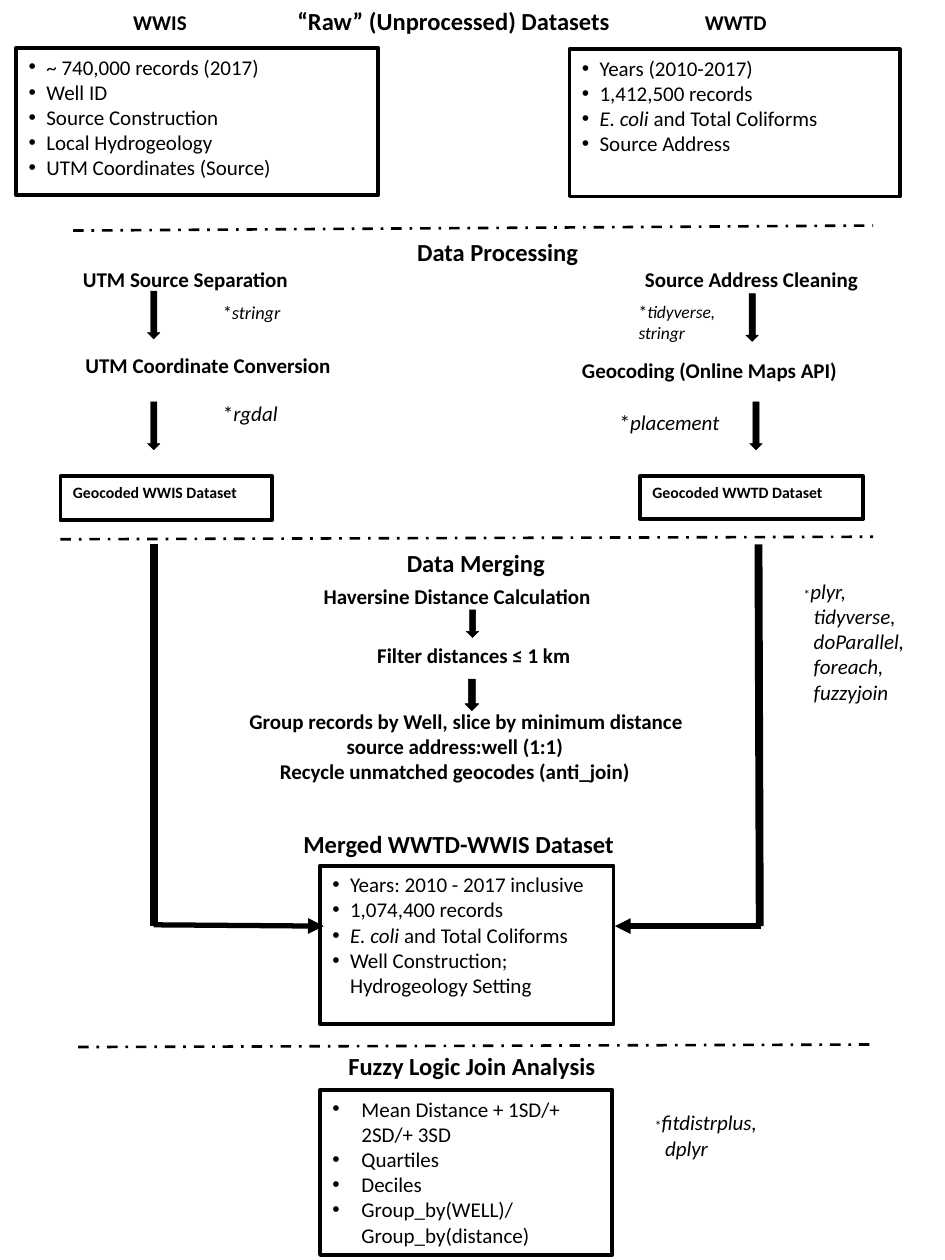
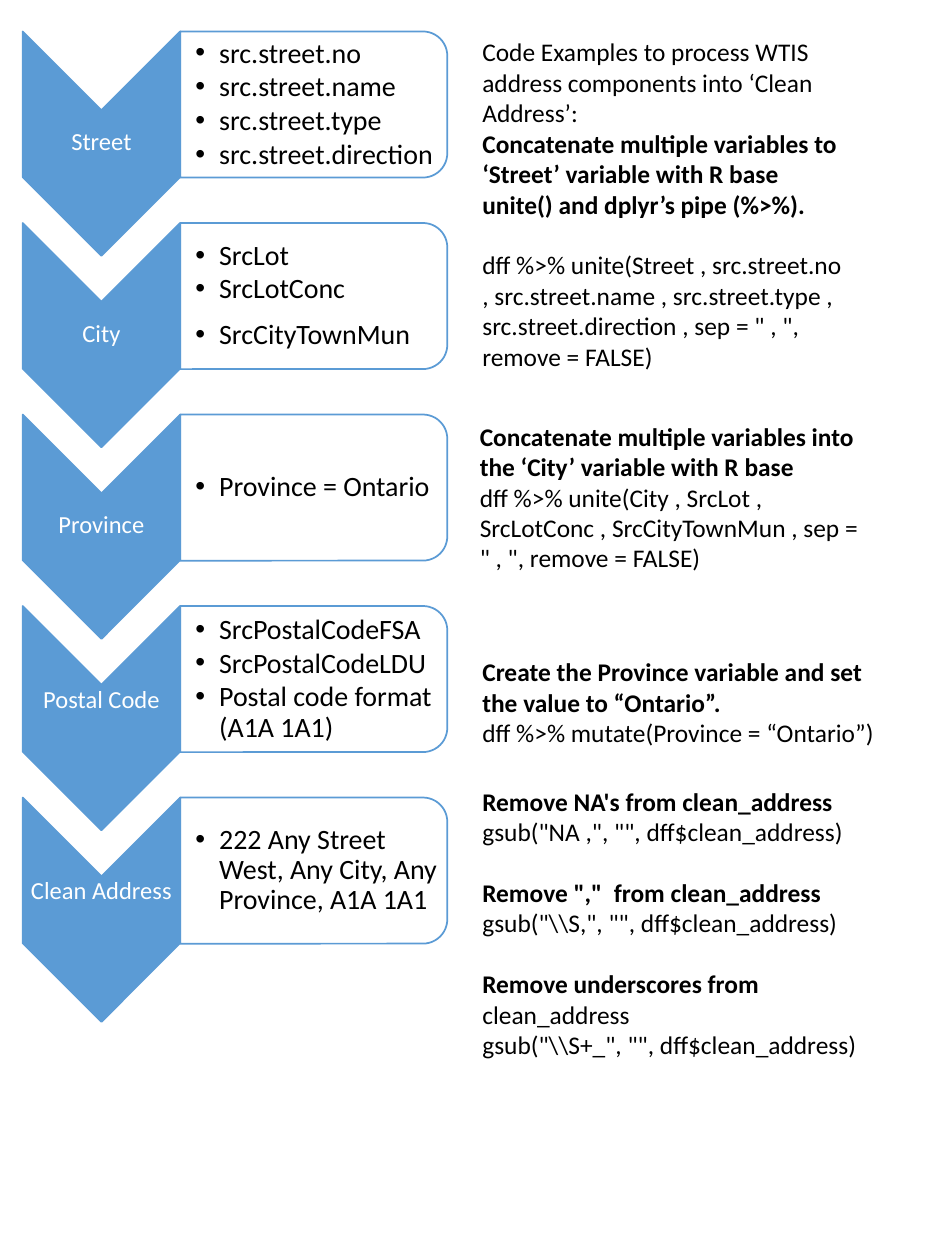
from lxml import etree
from pptx import Presentation
from pptx.dml.color import RGBColor
from pptx.enum.dml import MSO_LINE
from pptx.enum.shapes import MSO_CONNECTOR, MSO_SHAPE
from pptx.enum.text import MSO_ANCHOR, PP_ALIGN
from pptx.oxml.ns import qn
from pptx.util import Inches, Pt

BLACK = RGBColor(0, 0, 0)
WHITE = RGBColor(255, 255, 255)
BLUE = RGBColor(0x5B, 0x9B, 0xD5)
FONT, BULLET_FONT = "Calibri", "Arial"
LEFT, CENTER = PP_ALIGN.LEFT, PP_ALIGN.CENTER
TOP, MIDDLE = MSO_ANCHOR.TOP, MSO_ANCHOR.MIDDLE
RECT, DOWN_ARROW = MSO_SHAPE.RECTANGLE, MSO_SHAPE.DOWN_ARROW
CHEVRON, ROUND_TOP = MSO_SHAPE.CHEVRON, MSO_SHAPE.ROUND_2_SAME_RECTANGLE
STRAIGHT, DASH_DOT = MSO_CONNECTOR.STRAIGHT, MSO_LINE.DASH_DOT
INSETS = (0.1, 0.05, 0.1, 0.05)


def para(*runs, before=0, indent=0):
    """A paragraph: runs are strings or (text, style, size) tuples."""
    return runs, before, indent


# ---- Slide 1 content: workflow ----
# (text, left, top, width, size, alignment)
HEADINGS = [
    ("WWIS", 0.77, 0.03, 1.0, 12, CENTER),
    ("“Raw” (Unprocessed) Datasets", 2.1, 0, 3.0, 14, CENTER),
    ("WWTD", 5.34, 0.03, 1.0, 12, CENTER),
    ("Data Processing", 2.9, 1.83, 2.1, 14, CENTER),
    ("UTM Source Separation", 0.56, 2.07, 2.2, 12, LEFT),
    ("Source Address Cleaning", 5.02, 2.07, 2.2, 12, LEFT),
    ("UTM Coordinate Conversion", 0.58, 2.75, 2.24, 12, LEFT),
    ("Geocoding (Online Maps API)", 4.52, 2.79, 2.62, 12, LEFT),
    ("Data Merging", 3.13, 4.3, 1.51, 14, LEFT),
    ("Haversine Distance Calculation", 2.47, 4.58, 2.47, 12, LEFT),
    ("Filter distances ≤ 1 km", 2.02, 5.05, 3.48, 12, CENTER),
    ("Merged WWTD-WWIS Dataset", 2.14, 6.53, 3.0, 14, CENTER),
    ("Fuzzy Logic Join Analysis", 2.42, 8.29, 2.65, 14, CENTER),
]
GROUPING = [para("Group records by Well, slice by minimum distance",
                 indent=0.18),
            para("source address:well (1:1)"),
            para("Recycle unmatched geocodes (anti_join)")]
COLIFORMS = para(("E. coli", "i"), " and Total Coliforms")
# (box, bullet indent, items)
DATASETS = [
    ((0.13, 0.38, 2.87, 1.17), 0.14, [
        para("~ 740,000 records (2017)"), para("Well ID"),
        para("Source Construction"), para("Local Hydrogeology"),
        para("UTM Coordinates (Source)")]),
    ((4.52, 0.39, 2.62, 1.17), 0.14, [
        para("Years (2010-2017)"), para("1,412,500 records"), COLIFORMS,
        para("Source Address")]),
    ((2.54, 6.87, 2.33, 1.26), 0.14, [
        para("Years: 2010 - 2017 inclusive"), para("1,074,400 records"),
        COLIFORMS, para("Well Construction; Hydrogeology Setting")]),
    ((2.54, 8.65, 2.32, 1.31), 0.23, [
        para("Mean Distance + 1SD/+ 2SD/+ 3SD"), para("Quartiles"),
        para("Deciles"), para("Group_by(WELL)/Group_by(distance)")]),
]
GEOCODED = [("Geocoded WWIS Dataset", (0.48, 3.78, 1.68, 0.35)),
            ("Geocoded WWTD Dataset", (5.08, 3.78, 1.77, 0.34))]
# R packages: (names by line, box, size, size of the star)
PACKAGES = [
    (["stringr"], (1.67, 2.34, 0.75, 0.28), 10.5, 10.5),
    (["rgdal"], (1.67, 3.13, 0.75, 0.3), 12, 12),
    (["tidyverse, stringr"], (4.97, 2.34, 0.94, 0.44), 10, 10),
    (["placement"], (4.82, 3.2, 1.23, 0.3), 12, 12),
    (["plyr,", "tidyverse,", "doParallel,", "foreach,", "fuzzyjoin"],
     (6.28, 4.54, 1.05, 1.11), 12, 7.5),
    (["fitdistrplus,", "dplyr"], (5.1, 8.76, 1.07, 0.5), 12, 7.5),
]
STEP_ARROWS = [(1.17, 2.31, 0.1, 0.38), (1.17, 3.19, 0.1, 0.38),
               (5.92, 2.33, 0.1, 0.38), (5.95, 3.19, 0.1, 0.38),
               (3.7, 4.84, 0.1, 0.22), (3.69, 5.39, 0.11, 0.25)]
DIVIDERS = [(0.58, 1.83, 6.93, 1.79), (0.48, 4.28, 6.93, 4.26),
            (0.62, 8.31, 6.95, 8.29)]
MERGE_STEMS = [(6.02, 4.32, 6.03, 7.35), (1.22, 4.32, 1.22, 7.35)]
MERGE_ARROWS = [(6.04, 7.35, 4.88, 7.35), (1.22, 7.34, 2.57, 7.35)]

# ---- Slide 2 content: address cleaning ----
# (part, bottom inset of its label, items)
ADDRESS_PARTS = [
    ("Street", 0.01, [para("src.street.no"), para("src.street.name"),
                      para("src.street.type"), para("src.street.direction")]),
    ("City", 0.01, [para("SrcLot"), para("SrcLotConc"),
                    para("SrcCityTownMun", before=7)]),
    ("Province", 0.01, [para("Province = Ontario")]),
    ("Postal Code", 0.28, [para("SrcPostalCodeFSA"), para("SrcPostalCodeLDU"),
                           para("Postal code format (A1A 1A1)")]),
    ("Clean Address", 0.28, [
        para("222 Any Street West, Any City, Any Province, A1A 1A1")]),
]
CODE_SIZE, CODE_GAP = 14.5, 17.2
CODE_EXAMPLES = [
    ((3.73, 0.24, 3.06, 2.78), [
        para("Code Examples to process WTIS address components into "
             "‘Clean Address’:"),
        para(("Concatenate multiple variables to ‘Street’ variable with R "
              "base unite() and dplyr’s pipe (%>%).", "b")),
        para("dff %>% unite(Street , src.street.no , src.street.name , "
             "src.street.type , src.street.direction , sep = \" , \", "
             "remove = FALSE)", before=CODE_GAP)]),
    ((3.71, 3.29, 3.23, 1.32), [
        para(("Concatenate multiple variables into the ‘City’ variable "
              "with R base", "b")),
        para("dff %>% unite(City , SrcLot , SrcLotConc , SrcCityTownMun , "
             "sep = \" , \", remove = FALSE)")]),
    ((3.73, 5.16, 3.43, 0.83), [
        para(("Create the Province variable and set the value to "
              "“Ontario”.", "b")),
        para("dff %>% mutate(Province = “Ontario”)")]),
    ((3.73, 6.19, 3.43, 2.53), [
        para(("Remove NA's from clean_address", "b")),
        para('gsub("NA ,", "", dff$clean_address)'),
        para(('Remove ","  from clean_address', "b"), before=CODE_GAP),
        para(r'gsub("\\S,", "", dff$clean_address)'),
        para(("Remove underscores from ", "b"), "clean_address",
             before=CODE_GAP),
        para(r'gsub("\\S+_", "", dff$clean_address)')]),
]


# ---- Shared drawing helpers ----
def inches(box):
    return [Inches(value) for value in box]


def write(shape, paragraphs, size, color=BLACK, bold=False, align=LEFT,
          anchor=TOP, insets=INSETS, hanging=0, spacing=1, after=0):
    """Fill a shape with text; a hanging indent makes it a bulleted list."""
    frame = shape.text_frame
    frame.word_wrap = True
    frame.vertical_anchor = anchor
    (frame.margin_left, frame.margin_top,
     frame.margin_right, frame.margin_bottom) = inches(insets)
    for number, (runs, before, indent) in enumerate(paragraphs):
        p = frame.add_paragraph() if number else frame.paragraphs[0]
        p.alignment, p.line_spacing = align, spacing
        p.space_before, p.space_after = Pt(before), Pt(after)
        p.font.name, p.font.size, p.font.bold = FONT, Pt(size), bold
        p.font.color.rgb = color
        properties = p._p.get_or_add_pPr()
        properties.set("marL", str(Inches(indent + hanging)))
        properties.set("indent", str(-Inches(hanging)))
        if hanging:
            defaults = properties.find(qn("a:defRPr"))
            defaults.addprevious(
                etree.Element(qn("a:buFont"), typeface=BULLET_FONT))
            defaults.addprevious(etree.Element(qn("a:buChar"), char="•"))
        for item in runs:
            text, style, run_size = (
                (item, "", None) if isinstance(item, str)
                else (*item, None)[:3])
            run = p.add_run()
            run.text = text
            run.font.name, run.font.size = FONT, Pt(run_size or size)
            run.font.bold = bold or "b" in style
            run.font.italic = "i" in style
            run.font.color.rgb = color


def add_text(slide, box, paragraphs, size, **options):
    write(slide.shapes.add_textbox(*inches(box)), paragraphs, size, **options)


def add_box(slide, kind, box, fill, line, width):
    shape = slide.shapes.add_shape(kind, *inches(box))
    shape.shadow.inherit = False
    if fill is None:
        shape.fill.background()
    else:
        shape.fill.solid()
        shape.fill.fore_color.rgb = fill
    shape.line.color.rgb = line
    shape.line.width = Pt(width)
    return shape


def add_turned(slide, kind, box, fill):
    """Add a shape turned by 90 degrees that covers the given box."""
    left, top, width, height = box
    shift = (width - height) / 2
    shape = add_box(slide, kind, (left + shift, top - shift, height, width),
                    fill, BLUE, 1)
    shape.rotation = 90
    return shape


def add_line(slide, ends, width, dash=None, arrow=False):
    line = slide.shapes.add_connector(STRAIGHT, *inches(ends))
    line.line.color.rgb = BLACK
    line.line.width = Pt(width)
    if dash:
        line.line.dash_style = dash
    if arrow:
        etree.SubElement(line.line._get_or_add_ln(), qn("a:tailEnd"),
                         type="triangle")
    etree.SubElement(line._element.spPr, qn("a:effectLst"))


deck = Presentation()
deck.slide_width, deck.slide_height = Inches(7.5), Inches(10)
blank = deck.slide_layouts[6]

# ---- Slide 1: workflow ----
workflow = deck.slides.add_slide(blank)
for box, hanging, items in DATASETS:
    write(add_box(workflow, RECT, box, None, BLACK, 2.25), items, 12,
          hanging=hanging)
for name, box in GEOCODED:
    write(add_box(workflow, RECT, box, None, BLACK, 2.25), [para(name)], 9,
          bold=True)
for text, left, top, width, size, align in HEADINGS:
    add_text(workflow, (left, top, width, 0.3 if size == 12 else 0.34),
             [para(text)], size, bold=True, align=align)
add_text(workflow, (1.27, 5.57, 4.68, 0.71), GROUPING, 12, bold=True,
         align=CENTER)
for names, box, size, star_size in PACKAGES:
    first, *others = names
    lines = [para(("*", "", star_size), (first, "i"))]
    lines += [para((name, "i"), indent=0.08) for name in others]
    add_text(workflow, box, lines, size)
for box in STEP_ARROWS:
    add_box(workflow, DOWN_ARROW, box, BLACK, BLACK, 0.25)
for ends in DIVIDERS:
    add_line(workflow, ends, 1.5, dash=DASH_DOT)
for ends in MERGE_STEMS:
    add_line(workflow, ends, 4.5)
for ends in MERGE_ARROWS:
    add_line(workflow, ends, 3, arrow=True)

# ---- Slide 2: address cleaning ----
cleaning = deck.slides.add_slide(blank)
ROW_TOP, ROW_PITCH = 0.25, 1.52
CHEVRON_LEFT, CHEVRON_WIDTH = 0.18, 1.25
BODY_LEFT = CHEVRON_LEFT + CHEVRON_WIDTH
for row, (part, label_bottom, items) in enumerate(ADDRESS_PARTS):
    top = ROW_TOP + row * ROW_PITCH
    add_turned(cleaning, CHEVRON, (CHEVRON_LEFT, top, CHEVRON_WIDTH, 1.78),
               BLUE)
    add_text(cleaning, (CHEVRON_LEFT, top + 0.62, CHEVRON_WIDTH, 0.53),
             [para(part)], 14, color=WHITE, align=CENTER, anchor=MIDDLE,
             insets=(0.01, 0.01, 0.01, label_bottom), spacing=0.9)
    body = add_turned(cleaning, ROUND_TOP, (BODY_LEFT, top, 2.12, 1.16), WHITE)
    white = body._element.spPr.find(qn("a:solidFill"))[0]
    etree.SubElement(white, qn("a:alpha"), val="90000")
    add_text(cleaning, (BODY_LEFT, top + 0.06, 2.06, 1.04), items, 16,
             anchor=MIDDLE, insets=(0.12, 0.01, 0.01, 0.01), hanging=0.19,
             spacing=0.9, after=2)
for box, lines in CODE_EXAMPLES:
    add_text(cleaning, box, lines, CODE_SIZE)

deck.save("out.pptx")
